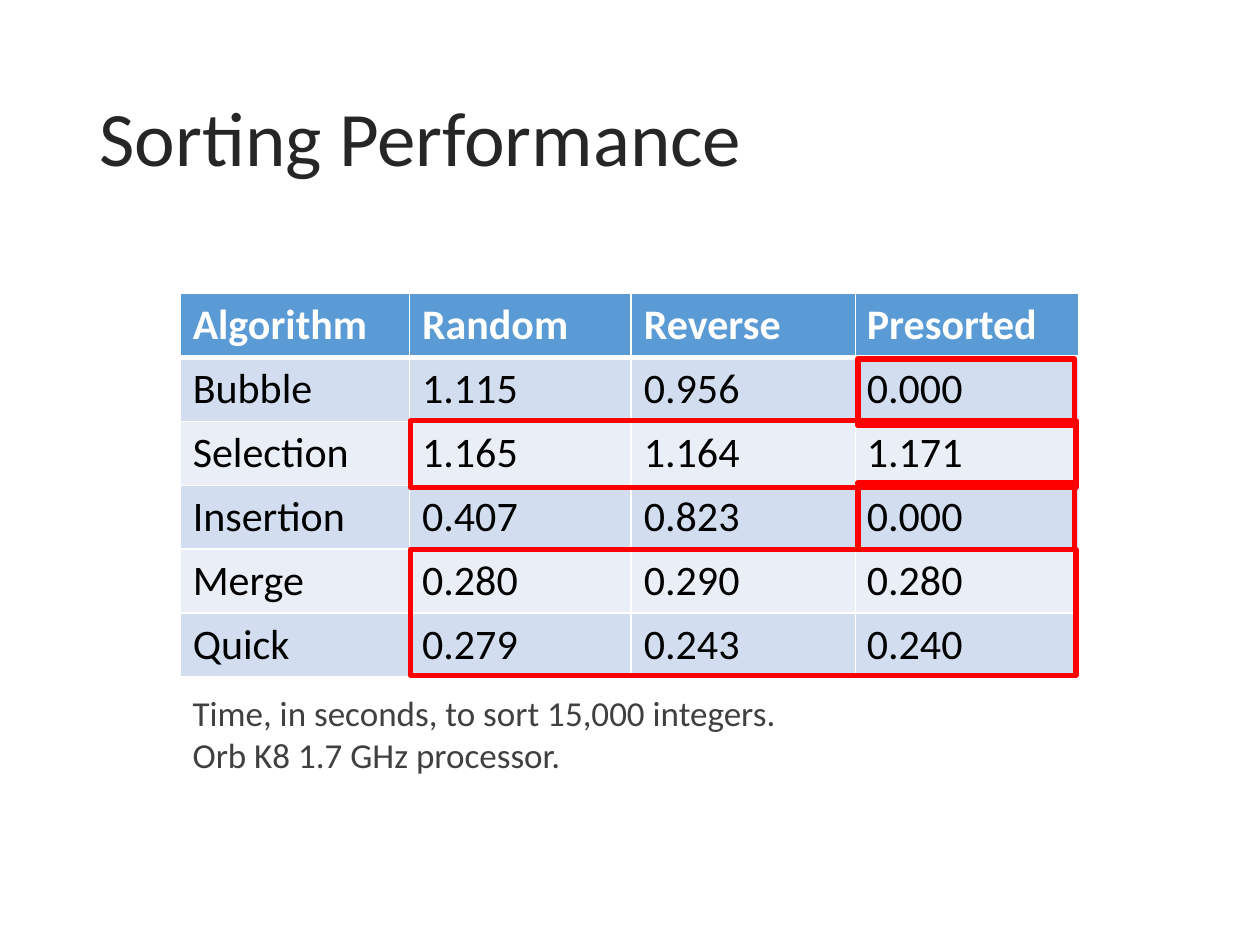
"""Build the sorting performance slide."""
from lxml import etree
from pptx import Presentation
from pptx.dml.color import RGBColor
from pptx.enum.shapes import MSO_SHAPE
from pptx.enum.text import MSO_ANCHOR, PP_ALIGN
from pptx.oxml.ns import qn
from pptx.util import Inches, Pt

RECTANGLE = MSO_SHAPE.RECTANGLE
MIDDLE = MSO_ANCHOR.MIDDLE
LEFT = PP_ALIGN.LEFT

FONT = "Calibri"
WHITE = RGBColor(0xFF, 0xFF, 0xFF)
BLACK = RGBColor(0x00, 0x00, 0x00)
HEADER_BLUE = RGBColor(0x5B, 0x9B, 0xD5)
BANDS = (RGBColor(0xEA, 0xEF, 0xF7), RGBColor(0xD2, 0xDE, 0xEF))
TITLE_GRAY = RGBColor(0x26, 0x26, 0x26)
NOTE_GRAY = RGBColor(0x40, 0x40, 0x40)
RED = RGBColor(0xFF, 0x00, 0x00)

TITLE = "Sorting Performance"
TABLE_TOP, ROW_HEIGHT = 2.33, 0.5
COLUMNS = [
    (1.43, 1.83, ["Algorithm", "Bubble", "Selection", "Insertion", "Merge", "Quick"]),
    (6.78, 1.78, ["Presorted", "0.000", "1.171", "0.000", "0.280", "0.240"]),
    (3.25, 1.78, ["Random", "1.115", "1.165", "0.407", "0.280", "0.279"]),
    (5.01, 1.78, ["Reverse", "0.956", "1.164", "0.823", "0.290", "0.243"]),
]
NOTES = ["Time, in seconds, to sort 15,000 integers.", "Orb K8 1.7 GHz processor."]
HIGHLIGHTS = [
    (6.81, 2.85, 1.72, 0.53),
    (6.81, 3.83, 1.72, 0.53),
    (3.26, 3.34, 5.28, 0.53),
    (3.26, 4.36, 5.28, 1),
]


def add_span(para, text, size, color, bold=False):
    span = para.add_run()
    span.text = text
    span.font.name = FONT
    span.font.size = Pt(size)
    span.font.color.rgb = color
    span.font.bold = bold


def add_borders(cell, row):
    properties = cell._tc.get_or_add_tcPr()
    widths = {"L": 1, "R": 1, "T": 3 if row == 1 else 1, "B": 3 if row == 0 else 1}
    for side, width in widths.items():
        line = etree.SubElement(properties, qn(f"a:ln{side}"), w=str(Pt(width)))
        fill = etree.SubElement(line, qn("a:solidFill"))
        etree.SubElement(fill, qn("a:srgbClr"), val=str(WHITE))


def add_column(slide, left, width, texts):
    frame = slide.shapes.add_table(
        len(texts), 1, Inches(left), Inches(TABLE_TOP),
        Inches(width), Inches(ROW_HEIGHT * len(texts)))
    for row, text in enumerate(texts):
        header = row == 0
        cell = frame.table.cell(row, 0)
        add_borders(cell, row)
        cell.fill.solid()
        cell.fill.fore_color.rgb = HEADER_BLUE if header else BANDS[row % 2]
        add_span(cell.text_frame.paragraphs[0], text, 24,
                 WHITE if header else BLACK, header)


def add_title(slide):
    title = slide.shapes.title
    title.left, title.top = Inches(0.69), Inches(0.4)
    title.width, title.height = Inches(8.62), Inches(1.45)
    title.text_frame.vertical_anchor = MIDDLE
    para = title.text_frame.paragraphs[0]
    para.alignment = LEFT
    para.line_spacing = 0.9
    add_span(para, TITLE, 44, TITLE_GRAY)


def add_notes(slide):
    box = slide.shapes.add_textbox(
        Inches(1.43), Inches(5.44), Inches(7.11), Inches(1.09))
    box.text_frame.word_wrap = True
    for index, text in enumerate(NOTES):
        para = box.text_frame.add_paragraph() if index else box.text_frame.paragraphs[0]
        add_span(para, text, 20, NOTE_GRAY)


def add_highlight(slide, bounds):
    highlight = slide.shapes.add_shape(RECTANGLE, *map(Inches, bounds))
    highlight.shadow.inherit = False
    highlight.fill.background()
    highlight.line.color.rgb = RED
    highlight.line.width = Pt(3)


def main():
    deck = Presentation()
    deck.slide_width, deck.slide_height = Inches(10), Inches(7.5)
    slide = deck.slides.add_slide(deck.slide_layouts[5])
    for column in COLUMNS:
        add_column(slide, *column)
    add_title(slide)
    add_notes(slide)
    for bounds in HIGHLIGHTS:
        add_highlight(slide, bounds)
    deck.save("out.pptx")


if __name__ == "__main__":
    main()
